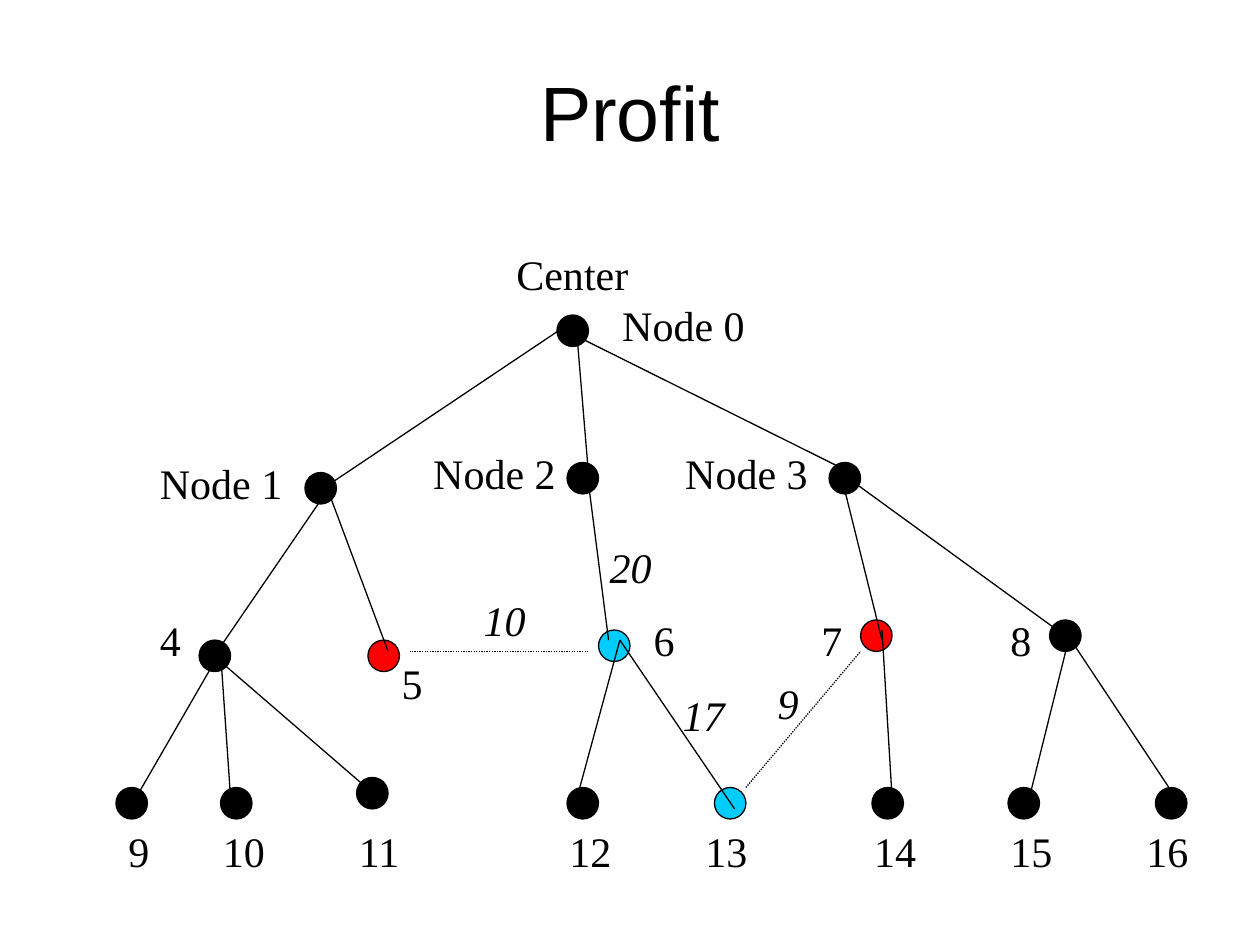
from lxml import etree
from pptx import Presentation
from pptx.dml.color import RGBColor
from pptx.enum.dml import MSO_LINE_DASH_STYLE as Dash
from pptx.enum.shapes import MSO_CONNECTOR as Connector, MSO_SHAPE as Shape
from pptx.enum.text import MSO_ANCHOR as Anchor, MSO_AUTO_SIZE as AutoSize, PP_ALIGN as Align
from pptx.oxml.ns import qn
from pptx.util import Inches, Pt

BLACK = RGBColor(0x00, 0x00, 0x00)
RED = RGBColor(0xFF, 0x00, 0x00)
CYAN = RGBColor(0x00, 0xCC, 0xFF)
NODE_SIZE = 0.25
LABEL_HEIGHT = 0.5
LEAF_TOP = 6.25
LEAF_LABEL_TOP = 6.5

presentation = Presentation()
presentation.slide_width = Inches(10)
presentation.slide_height = Inches(7.5)
slide = presentation.slides.add_slide(presentation.slide_layouts[5])


def add_line(start, end, dash=None):
    line = slide.shapes.add_connector(
        Connector.STRAIGHT, *(Inches(value) for value in (*start, *end)))
    line.line.color.rgb = BLACK
    line.line.width = Pt(0.75)
    if dash:
        line.line.dash_style = dash
    etree.SubElement(line._element.spPr, qn("a:effectLst"))


def add_label(text, left, top, width, italic=False):
    box = slide.shapes.add_textbox(
        Inches(left), Inches(top), Inches(width), Inches(LABEL_HEIGHT))
    frame = box.text_frame
    frame.word_wrap = italic
    frame.auto_size = AutoSize.SHAPE_TO_FIT_TEXT
    paragraph = frame.paragraphs[0]
    paragraph.text = text
    paragraph.alignment = Align.CENTER if italic else Align.LEFT
    paragraph.font.name = "Times New Roman"
    paragraph.font.size = Pt(24)
    paragraph.font.italic = italic
    paragraph.font.color.rgb = BLACK


title = slide.shapes.title
title.left, title.top = Inches(0.75), Inches(0.25)
title.width, title.height = Inches(8.5), Inches(1.25)
title.text_frame.vertical_anchor = Anchor.MIDDLE
heading = title.text_frame.paragraphs[0]
heading.text = "Profit"
heading.alignment = Align.CENTER
heading.font.name = "Arial"
heading.font.size = Pt(44)
heading.font.color.rgb = BLACK

nodes = [
    (4.42, 2.5, BLACK),
    (2.42, 3.75, BLACK), (4.5, 3.67, BLACK), (6.58, 3.67, BLACK),
    (1.58, 5.08, BLACK), (2.92, 5.08, RED), (4.75, 5, CYAN),
    (6.83, 4.92, RED), (8.33, 4.92, BLACK),
    (0.92, LEAF_TOP, BLACK), (1.75, LEAF_TOP, BLACK), (2.83, 6.17, BLACK),
    (4.5, LEAF_TOP, BLACK), (5.67, LEAF_TOP, CYAN), (6.92, LEAF_TOP, BLACK),
    (8, LEAF_TOP, BLACK), (9.17, LEAF_TOP, BLACK),
]
for left, top, color in nodes:
    node = slide.shapes.add_shape(
        Shape.OVAL, Inches(left), Inches(top), Inches(NODE_SIZE), Inches(NODE_SIZE))
    node.shadow.inherit = False
    node.fill.solid()
    node.fill.fore_color.rgb = color
    node.line.color.rgb = BLACK
    node.line.width = Pt(0.75)

branches = [
    ((4.5, 2.58), (2.5, 3.92)),
    ((4.58, 2.67), (4.67, 3.75)),
    ((4.58, 2.67), (6.75, 3.75)),
    ((2.58, 3.92), (1.67, 5.25)),
    ((2.58, 3.83), (3.08, 5.17)),
    ((4.67, 3.83), (4.83, 5.08)),
    ((6.67, 3.75), (7, 5.08)),
    ((6.67, 3.75), (8.5, 5.08)),
    ((1.75, 5.17), (1.08, 6.33)),
    ((1.75, 5.17), (1.83, 6.33)),
    ((1.75, 5.25), (3, 6.33)),
    ((4.92, 5.08), (4.58, 6.33)),
    ((4.92, 5.08), (5.83, 6.42)),
    ((7, 5), (7.08, 6.33)),
    ((8.5, 5), (8.17, 6.33)),
    ((8.5, 5.08), (9.33, 6.33)),
]
for start, end in branches:
    add_line(start, end)

for start, end in [((4.67, 5.17), (3.25, 5.17)), ((5.92, 6.25), (6.83, 5.17))]:
    add_line(start, end, Dash.ROUND_DOT)

add_label("Center", 4, 1.92, 1.09)
upper_labels = [(4.84, 2.33), (1.17, 3.58), (3.34, 3.5), (5.34, 3.5)]
for number, (left, top) in enumerate(upper_labels):
    add_label(f"Node {number}", left, top, 1.17)

middle_labels = [(1.17, 4.83), (3.09, 5.17), (5.09, 4.83), (6.42, 4.83), (7.92, 4.83)]
for number, (left, top) in enumerate(middle_labels, start=4):
    add_label(str(number), left, top, 0.36)

leaf_lefts = [0.92, 1.67, 2.75, 4.42, 5.5, 6.84, 7.92, 9]
for number, left in enumerate(leaf_lefts, start=9):
    add_label(str(number), left, LEAF_LABEL_TOP, 0.36 if number < 10 else 0.53)

profits = [("10", 3.67, 4.67), ("20", 4.67, 4.25), ("9", 5.92, 5.33), ("17", 5.25, 5.42)]
for text, left, top in profits:
    add_label(text, left, top, 0.67, italic=True)

presentation.save("out.pptx")
